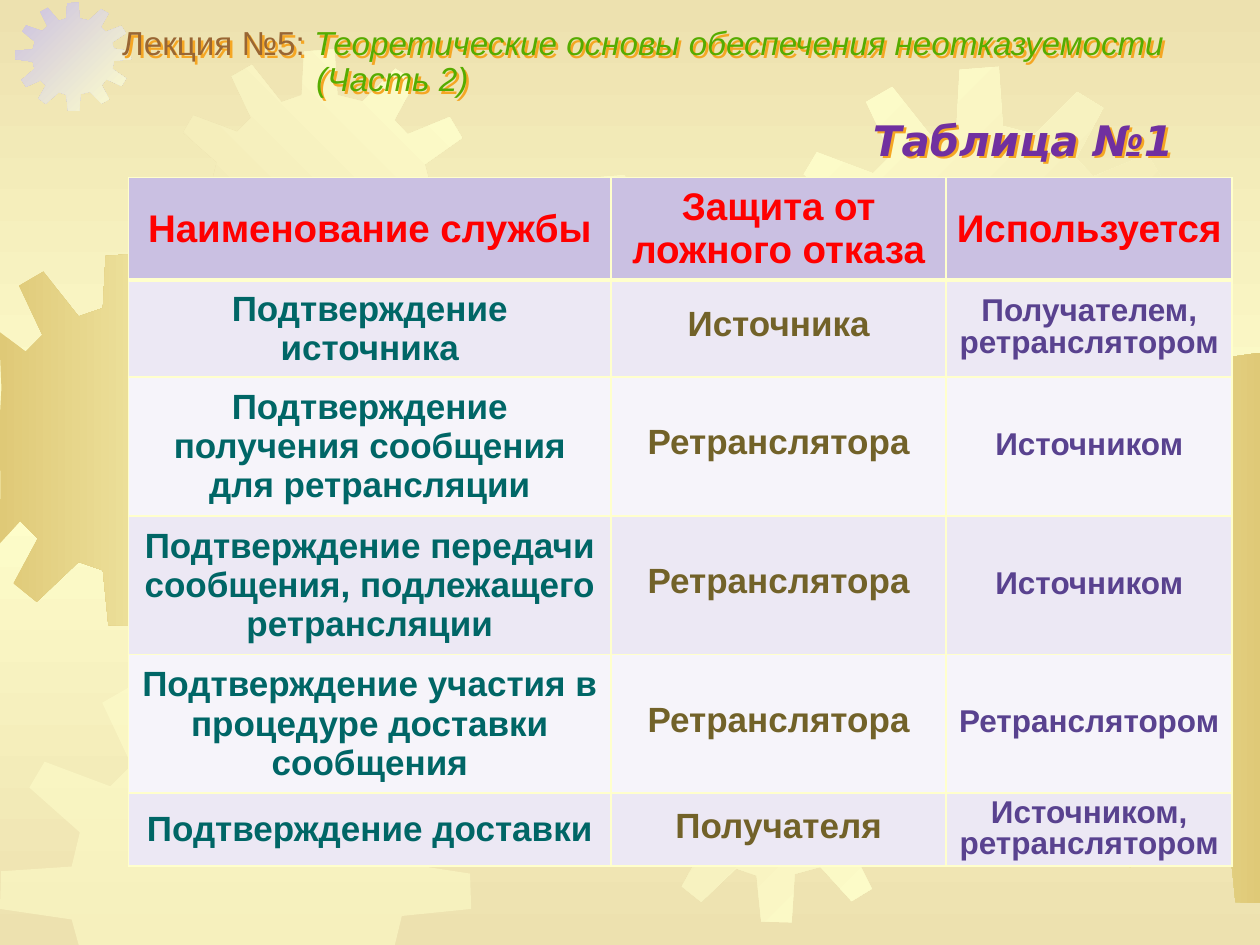
from copy import deepcopy

from lxml import etree
from pptx import Presentation
from pptx.dml.color import RGBColor
from pptx.enum.text import MSO_ANCHOR, PP_ALIGN
from pptx.oxml.ns import qn
from pptx.util import Inches, Pt

MIDDLE = MSO_ANCHOR.MIDDLE
LEFT, CENTER = PP_ALIGN.LEFT, PP_ALIGN.CENTER

THEME = {
    "sand": "EDE1AF", "cream": "FFFFCC", "gold": "DFC977", "lilac": "CAC0E2",
    "bands": ("ECE8F4", "F6F4FA"), "shadow": "F5A623",
    "lecture": {"name": "Arial", "size": 19, "color": "996633"},
    "topic": {"name": "Arial", "size": 19, "color": "56AC00", "italic": True},
    "caption": {"name": "DejaVu Sans", "size": 24, "color": "7030A0", "bold": True, "italic": True},
    "header": {"name": "Arial", "size": 22, "color": "FF0000", "bold": True},
    "columns": [
        {"name": "Arial", "size": 20, "color": "006666", "bold": True},
        {"name": "Arial", "size": 20, "color": "726229", "bold": True},
        {"name": "Arial", "size": 18, "color": "59428F", "bold": True},
    ],
}

TITLE = [
    (0.14, [("Лекция №5: ", "lecture"),
            ("Теоретические основы обеспечения неотказуемости", "topic")]),
    (1.68, [("(Часть 2)", "topic")]),
]
CAPTION = [(0, [("Таблица №1", "caption")])]
ROWS = [
    ("Наименование службы", "Защита от\nложного отказа", "Используется"),
    ("Подтверждение источника", "Источника", "Получателем, ретранслятором"),
    ("Подтверждение получения сообщения для ретрансляции", "Ретранслятора", "Источником"),
    ("Подтверждение передачи сообщения, подлежащего\nретрансляции", "Ретранслятора", "Источником"),
    ("Подтверждение участия в процедуре доставки\nсообщения", "Ретранслятора", "Ретранслятором"),
    ("Подтверждение доставки", "Получателя", "Источником, ретранслятором"),
]
COL_WIDTHS = (3.83, 2.66, 2.27)
ROW_HEIGHTS = (0.81, 0.77, 1.1, 1.1, 1.1, 0.58)

GEAR_SIZE = 401
GEAR_OUTLINE = [
    (255, 67), (223, 59), (219, 0), (180, 3), (177, 59), (151, 68), (113, 20), (87, 35),
    (112, 88), (94, 106), (38, 85), (25, 107), (68, 145), (61, 174), (1, 178), (0, 210),
    (61, 219), (67, 246), (22, 287), (38, 312), (88, 288), (107, 307), (81, 355), (106, 375),
    (151, 332), (177, 341), (183, 400), (222, 401), (226, 339), (259, 330), (299, 374), (325, 358),
    (299, 306), (316, 284), (368, 309), (384, 281), (336, 246), (342, 216), (401, 210), (400, 180),
    (341, 171), (335, 148), (383, 114), (367, 87), (313, 109), (296, 91), (323, 41), (297, 25),
]
GEARS = [
    # left, top, width, height, colours, angle
    (-0.49, 2.01, 2.96, 2.96, ("gold", "cream"), 0),
    (0.12, 0.02, 0.92, 0.86, ("lilac", "cream"), 45),
    (1.3, 0.39, 2.48, 2.48, ("sand", "cream"), 315),
    (2.77, 1.39, 4.01, 4.02, ("cream", "sand"), 45),
    (0, 5.25, 3.74, 3.75, ("cream",), 0),
    (4.91, 4.84, 2.48, 2.48, ("sand", "cream"), 45),
    (6.18, 0.53, 3.2, 3.2, ("cream", "sand"), 45),
    (7.82, 2.8, 4.35, 4.37, ("cream", "gold"), 0),
]


def rgb(value):
    return RGBColor.from_string(value)


def paint_gradient(fill, names, angle):
    fill.gradient()
    fill.gradient_angle = -angle % 360
    for i, (stop, name) in enumerate(zip(fill.gradient_stops, names)):
        stop.position = i
        stop.color.rgb = rgb(THEME[name])


def paint_background(s):
    paint_gradient(s.background.fill, ("sand", "sand"), 90)
    stops = s.element.find(".//" + qn("a:gsLst"))
    middle = deepcopy(stops[0])
    middle.set("pos", "50000")
    middle[0].set("val", THEME["cream"])
    stops.insert(1, middle)


def add_gear(s, left, top, width, height, names, angle):
    points = [
        (Inches(min(max(left + x * width / GEAR_SIZE, 0), 10)),
         Inches(min(max(top + y * height / GEAR_SIZE, 0), 7.5)))
        for x, y in GEAR_OUTLINE
    ]
    builder = s.shapes.build_freeform(*points[0])
    builder.add_line_segments(points[1:])
    sp = builder.convert_to_shape()
    sp.shadow.inherit = False
    sp.line.fill.background()
    if len(names) == 2:
        paint_gradient(sp.fill, names, angle)
    else:
        sp.fill.solid()
        sp.fill.fore_color.rgb = rgb(THEME[names[0]])
        color = sp.element.spPr.find(".//" + qn("a:srgbClr"))
        etree.SubElement(color, qn("a:alpha"), val="50000")


def add_run(p, text, style):
    r = p.add_run()
    r.text = text
    for key, value in style.items():
        if key == "color":
            r.font.color.rgb = rgb(value)
        else:
            setattr(r.font, key, Pt(value) if key == "size" else value)


def add_shadowed_text(s, box, paragraphs, frame, fmt):
    sp = s.shapes.add_textbox(*map(Inches, box))
    effects = etree.SubElement(sp.element.spPr, qn("a:effectLst"))
    shadow = etree.SubElement(effects, qn("a:outerShdw"), dist="25400", dir="2700000")
    etree.SubElement(shadow, qn("a:srgbClr"), val=THEME["shadow"])
    tf = sp.text_frame
    for key, value in frame.items():
        setattr(tf, key, value)
    for i, (indent, runs) in enumerate(paragraphs):
        p = tf.add_paragraph() if i else tf.paragraphs[0]
        p._p.get_or_add_pPr().set("marL", str(Inches(indent)))
        for key, value in fmt.items():
            setattr(p, key, value)
        for text, style in runs:
            add_run(p, text, THEME[style])


def set_borders(cell, bottom):
    tc_pr = cell._tc.get_or_add_tcPr()
    for side, width in (("L", 1), ("R", 1), ("T", 1), ("B", bottom)):
        ln = etree.SubElement(tc_pr, qn("a:ln" + side), w=str(Pt(width)))
        fill = etree.SubElement(ln, qn("a:solidFill"))
        etree.SubElement(fill, qn("a:srgbClr"), val=THEME["cream"])


def fill_cell(cell, text, row, col):
    header = row == 0
    side, edge = (0, 0.04) if header else (0.1, 0.05) if col == 0 else (0.04, 0.04)
    fmt = {
        "vertical_anchor": MIDDLE,
        "margin_left": Inches(side), "margin_right": Inches(side),
        "margin_top": Inches(edge), "margin_bottom": Inches(edge),
    }
    for key, value in fmt.items():
        setattr(cell, key, value)
    set_borders(cell, 3 if header else 1)
    cell.fill.solid()
    cell.fill.fore_color.rgb = rgb(THEME["lilac"] if header else THEME["bands"][(row - 1) % 2])
    tf = cell.text_frame
    for i, line in enumerate(text.split("\n")):
        p = tf.add_paragraph() if i else tf.paragraphs[0]
        p.alignment = CENTER
        if col and not header:
            p.line_spacing = Pt(18)
        add_run(p, line, THEME["header"] if header else THEME["columns"][col])


def add_services_table(s):
    size = (sum(COL_WIDTHS), sum(ROW_HEIGHTS))
    frame = s.shapes.add_table(len(ROWS), len(COL_WIDTHS), *map(Inches, (1.02, 1.41, *size)))
    table = frame.table
    for column, width in zip(table.columns, COL_WIDTHS):
        column.width = Inches(width)
    for i, (height, texts) in enumerate(zip(ROW_HEIGHTS, ROWS)):
        table.rows[i].height = Inches(height)
        for j, text in enumerate(texts):
            fill_cell(table.cell(i, j), text, i, j)


def main():
    """Build the slide on non-repudiation services and save it."""
    prs = Presentation()
    prs.slide_width, prs.slide_height = Inches(10), Inches(7.5)
    s = prs.slides.add_slide(prs.slide_layouts[6])
    paint_background(s)
    for gear in GEARS:
        add_gear(s, *gear)
    no_margins = {"margin_" + side: 0 for side in ("left", "top", "right", "bottom")}
    add_shadowed_text(s, (0.83, 0.21, 9.17, 0.58), TITLE,
                      {"word_wrap": True, "vertical_anchor": MIDDLE, **no_margins},
                      {"alignment": LEFT, "line_spacing": 0.9})
    add_services_table(s)
    add_shadowed_text(s, (6.48, 0.86, 3.28, 0.5), CAPTION,
                      {"word_wrap": True}, {"alignment": CENTER})
    prs.save("out.pptx")


if __name__ == "__main__":
    main()
